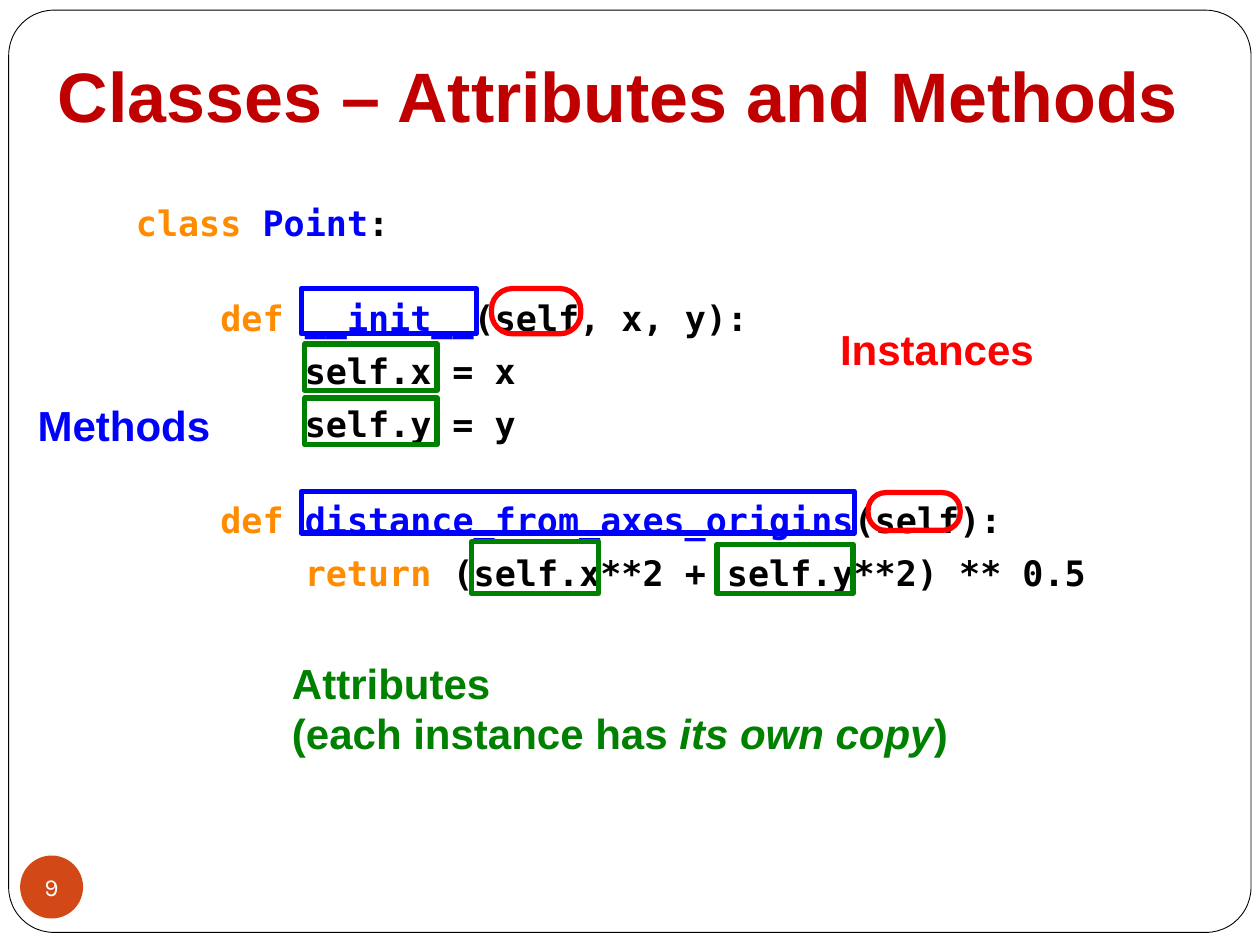
from pptx import Presentation
from pptx.dml.color import RGBColor
from pptx.enum.shapes import MSO_SHAPE
from pptx.enum.text import MSO_ANCHOR, PP_ALIGN
from pptx.util import Pt

RECT = MSO_SHAPE.RECTANGLE
ROUND = MSO_SHAPE.ROUNDED_RECTANGLE
OVAL = MSO_SHAPE.OVAL
MIDDLE, BOTTOM = MSO_ANCHOR.MIDDLE, MSO_ANCHOR.BOTTOM
CENTER = PP_ALIGN.CENTER

COLORS = {
    "black": "000000", "white": "FFFFFF", "title": "C00000",
    "orange": "FF8C00", "blue": "0000FF", "red": "FF0000",
    "green": "008000", "badge": "D34817",
}
MONO, SANS = "DejaVu Sans Mono", "Arial"
STEP, GAP = 6.3, 30.5  # space before a code line, and before a method

# Each code line: space before, then (text, color) pieces
CODE = [
    (0, [("class ", "orange"), ("Point", "blue"), (":", "black")]),
    (GAP, [("    def ", "orange"), ("__init__", "blue"),
           ("(self, x, y):", "black")]),
    (STEP, [("        self.x = x", "black")]),
    (STEP, [("        self.y = y", "black")]),
    (GAP, [("    def ", "orange"), ("distance_from_axes_origins", "blue"),
           ("(self):", "black")]),
    (STEP, [("        return", "orange"),
            (" (self.x**2 + self.y**2) ** 0.5", "black")]),
]

# Outlines around parts of the code: kind, color, boxes
MARKS = [
    (ROUND, "red", [(280.8, 164.9, 51.1, 25.9), (496.1, 281.5, 52.6, 21.6)]),
    (RECT, "blue", [(172.1, 164.9, 100.1, 25.9), (172.1, 280.8, 316.1, 23.8)]),
    (RECT, "green", [(174.2, 196.6, 75.6, 26.6), (174.2, 227.5, 75.6, 26.6),
                     (269.3, 309.6, 72.7, 29.5), (409.7, 311, 77.8, 28.1)]),
]


def rgb(name):
    return RGBColor.from_string(COLORS[name])


def style(run, size, color, font=SANS, bold=True):
    run.font.size, run.font.name, run.font.bold = Pt(size), font, bold
    run.font.color.rgb = rgb(color)


def shape(slide, kind, box, fill=None, line=None, width=3, adj=None):
    item = slide.shapes.add_shape(kind, *map(Pt, box))
    item.shadow.inherit = False
    if fill:
        item.fill.solid()
        item.fill.fore_color.rgb = rgb(fill)
    else:
        item.fill.background()
    if line:
        item.line.color.rgb = rgb(line)
        item.line.width = Pt(width)
    else:
        item.line.fill.background()
    if adj is not None:
        item.adjustments[0] = adj
    return item


def frame(slide, box, wrap=True):
    text = slide.shapes.add_textbox(*map(Pt, box)).text_frame
    text.word_wrap = wrap
    return text


def label(slide, box, words, color, size=24, wrap=False):
    text = frame(slide, box, wrap)
    text.text = words
    for para in text.paragraphs:
        style(para.runs[0], size, color)
    return text


def code(slide, box):
    text = frame(slide, box)
    for i, (space, parts) in enumerate(CODE):
        para = text.add_paragraph() if i else text.paragraphs[0]
        if space:
            para.space_before = Pt(space)
        for words, color in parts:
            run = para.add_run()
            run.text = words
            style(run, 20, color, MONO)


def badge(slide, box, words):
    text = shape(slide, OVAL, box, fill="badge").text_frame
    text.margin_left = text.margin_right = 0
    text.margin_top = text.margin_bottom = 0
    text.word_wrap = False
    text.vertical_anchor = MIDDLE
    text.text = words
    para = text.paragraphs[0]
    para.alignment = CENTER
    style(para.runs[0], 14, "white", "Karla", False)


def main():
    deck = Presentation()
    deck.slide_width, deck.slide_height = Pt(720), Pt(540)
    slide = deck.slides.add_slide(deck.slide_layouts[6])

    # Page frame
    shape(slide, ROUND, (5, 5.8, 709.9, 527), "white", "black", 0.5, 0.049)

    # Code
    code(slide, (70.6, 111.6, 612, 381.6))

    # Labels
    note = label(slide, (159.8, 372.2, 451.4, 65.5),
                 "Attributes\n(each instance has ", "green", wrap=True)
    for words, slant in (("its own copy", True), (")", False)):
        run = note.paragraphs[1].add_run()
        run.text = words
        style(run, 24, "green")
        run.font.italic = slant
    label(slide, (473, 181.4, 125.3, 36), "Instances", "red")
    label(slide, (14.4, 224.6, 113, 36), "Methods", "blue")

    # Page number and title
    badge(slide, (11.5, 488.9, 36, 36), "9")
    title = label(slide, (25.9, 21.6, 674.6, 63.4),
                  "Classes – Attributes and Methods", "title", 40, True)
    title.vertical_anchor = BOTTOM
    title.margin_bottom = Pt(7.2)

    # Outlines over the code
    for kind, color, boxes in MARKS:
        for box in boxes:
            shape(slide, kind, box, line=color,
                  adj=0.465 if kind == ROUND else None)

    deck.save("out.pptx")


if __name__ == "__main__":
    main()
